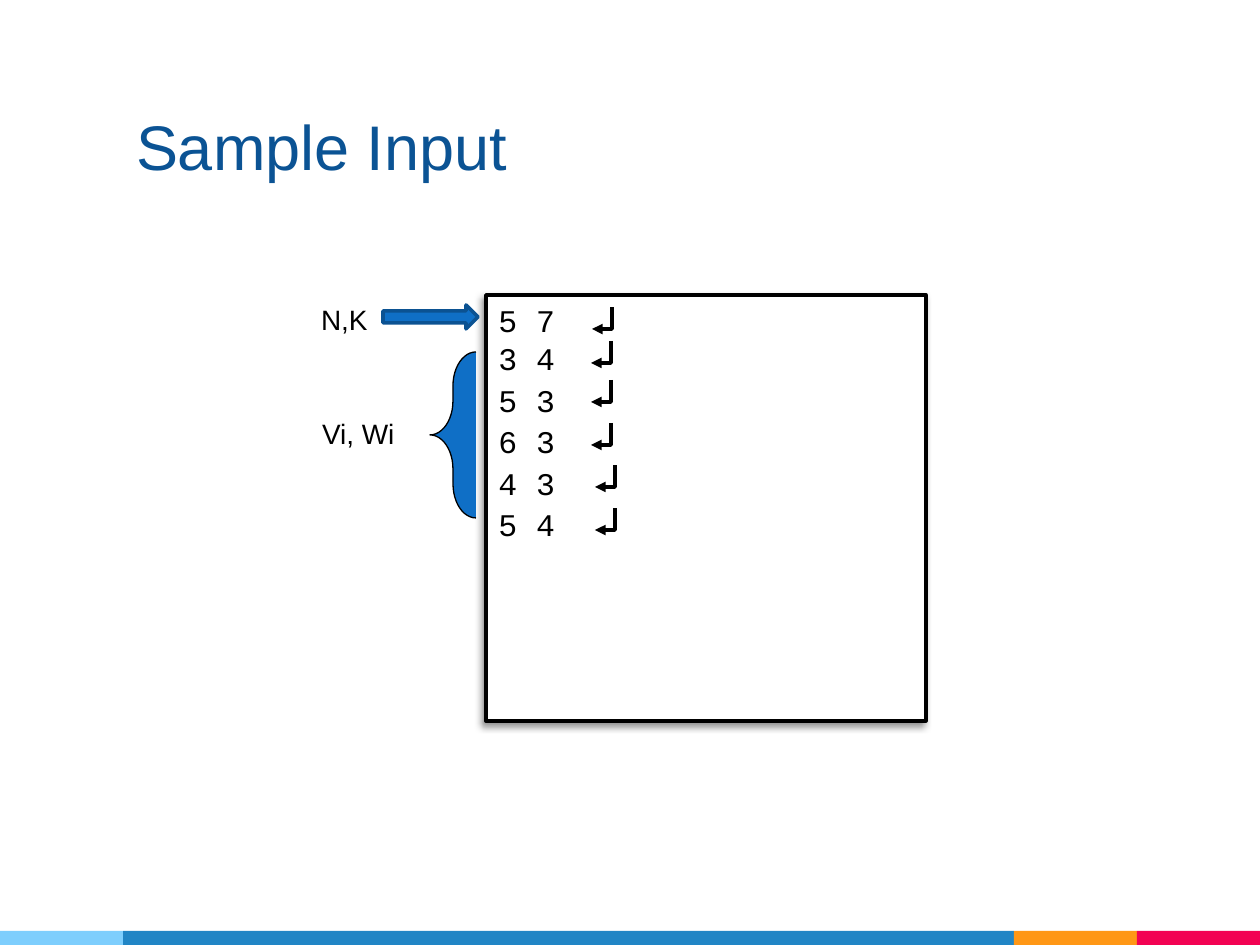
from pptx import Presentation
from pptx.dml.color import RGBColor
from pptx.enum.shapes import MSO_SHAPE
from pptx.enum.text import MSO_ANCHOR, PP_ALIGN
from pptx.oxml import parse_xml
from pptx.oxml.ns import nsdecls, qn
from pptx.util import Pt

PX = 914400 / 126

RECT = MSO_SHAPE.RECTANGLE
BRACE = MSO_SHAPE.LEFT_BRACE
ARROW = MSO_SHAPE.RIGHT_ARROW
TOP, BOTTOM = MSO_ANCHOR.TOP, MSO_ANCHOR.BOTTOM
LEFT, RIGHT = PP_ALIGN.LEFT, PP_ALIGN.RIGHT

BLACK = RGBColor(0x00, 0x00, 0x00)
WHITE = RGBColor(0xFF, 0xFF, 0xFF)
TITLE_BLUE = RGBColor(0x0B, 0x53, 0x94)
ACCENT = RGBColor(0x0F, 0x6F, 0xC6)
ACCENT_DARK = RGBColor(0x0B, 0x52, 0x92)
SKY = RGBColor(0x7E, 0xCE, 0xFD)
BLUE = RGBColor(0x21, 0x85, 0xC5)
ORANGE = RGBColor(0xFF, 0x97, 0x15)
RED = RGBColor(0xF2, 0x02, 0x53)

FOOTER_BARS = [(0, 123, SKY), (123, 891, BLUE), (1014, 123, ORANGE), (1137, 123, RED)]
LABELS = [("N,K", (307, 296, 73, 47)), ("Vi, Wi", (307, 410, 100, 47))]
INPUT_LINES = ["5 7", "3 4", "5 3", "6 3", "4 3", "5 4"]
RETURN_MARKS = [(612, 307), (611, 341), (611, 380), (611, 423), (615, 465), (615, 508)]

TITLE_FONT = {"name": "Arial", "size": Pt(36)}
LABEL_FONT = {"name": "Arial", "size": Pt(16)}
CODE_FONT = {"name": "Courier New", "size": Pt(18)}


def px(*values):
    return [round(v * PX) for v in values]


def set_attrs(obj, values):
    for name, value in values.items():
        setattr(obj, name, value)


def set_line(sp, color, width):
    sp.line.color.rgb = color
    sp.line.width = Pt(width)


def add_shape(slide, kind, box, fill, line=None, width=1):
    sp = slide.shapes.add_shape(kind, *px(*box))
    sp.shadow.inherit = False
    sp.fill.solid()
    sp.fill.fore_color.rgb = fill
    if line is None:
        sp.line.fill.background()
    else:
        set_line(sp, line, width)
    return sp


def write_lines(tf, lines, font, color, align=LEFT):
    for i, text in enumerate(lines):
        p = tf.paragraphs[0] if i == 0 else tf.add_paragraph()
        p.alignment = align
        r = p.add_run()
        r.text = text
        set_attrs(r.font, font)
        r.font.color.rgb = color


def add_text(slide, text, box, font, color, align, frame):
    tf = slide.shapes.add_textbox(*px(*box)).text_frame
    set_attrs(tf, frame)
    write_lines(tf, [text], font, color, align)


def add_shadow(sp):
    sp.element.spPr.find(qn("a:effectLst")).append(parse_xml(
        f'<a:outerShdw {nsdecls("a")} blurRad="50800" dist="38100" dir="8100000">'
        '<a:srgbClr val="000000"><a:alpha val="40000"/></a:srgbClr></a:outerShdw>'))


def add_input_box(slide):
    sp = add_shape(slide, RECT, (486, 295, 440, 426), WHITE, BLACK, 2)
    add_shadow(sp)
    tf = sp.text_frame
    set_attrs(tf, {"vertical_anchor": TOP, "word_wrap": True})
    write_lines(tf, INPUT_LINES, CODE_FONT, BLACK)
    for p in tf.paragraphs[2:]:
        p.line_spacing = 1.1


def add_return_mark(slide, right, top):
    bottom = top + 22
    builder = slide.shapes.build_freeform(*px(right, top))
    builder.add_line_segments(
        [px(right, bottom), px(right - 20, bottom)], close=False)
    sp = builder.convert_to_shape()
    sp.shadow.inherit = False
    sp.fill.background()
    set_line(sp, BLACK, 2)
    sp.element.spPr.find(qn("a:ln")).append(
        parse_xml(f'<a:tailEnd {nsdecls("a")} type="triangle"/>'))


def main():
    prs = Presentation()
    prs.slide_width, prs.slide_height = px(1260, 945)
    s = prs.slides.add_slide(prs.slide_layouts[6])

    for left, width, color in FOOTER_BARS:
        add_shape(s, RECT, (left, 931, width, 14), color)

    margin = px(13)[0]
    title_frame = {"word_wrap": True, "vertical_anchor": BOTTOM}
    for side in ("left", "top", "right", "bottom"):
        title_frame[f"margin_{side}"] = margin
    add_text(s, "Sample Input", (123, 38, 936, 158), TITLE_FONT, TITLE_BLUE,
             LEFT, title_frame)

    for text, box in LABELS:
        add_text(s, text, box, LABEL_FONT, BLACK, RIGHT, {"word_wrap": False})

    add_input_box(s)
    for right, top in RETURN_MARKS:
        add_return_mark(s, right, top)

    brace = add_shape(s, BRACE, (430, 352, 46, 166), ACCENT, BLACK, 0.75)
    brace.adjustments[0] = 0.74
    add_shape(s, ARROW, (383, 305, 95, 24), ACCENT, ACCENT_DARK, 2)

    prs.save("out.pptx")


if __name__ == "__main__":
    main()
